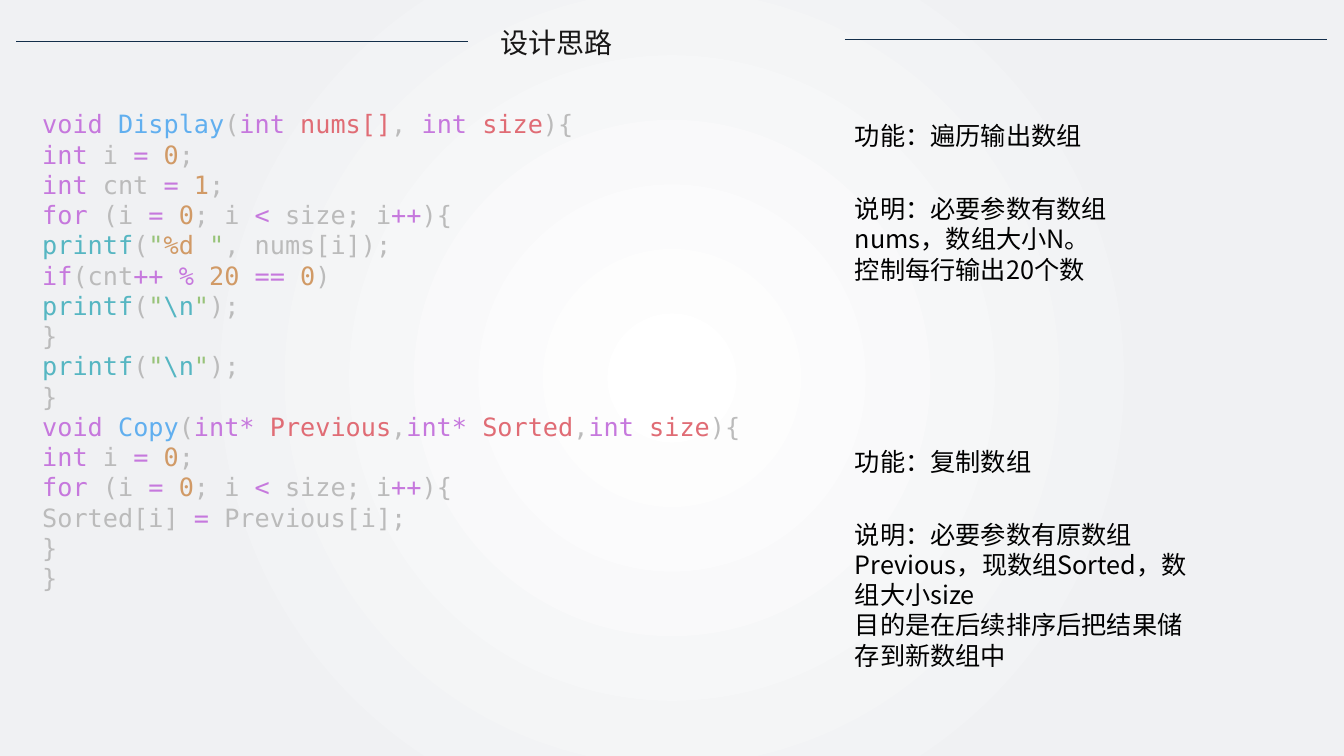
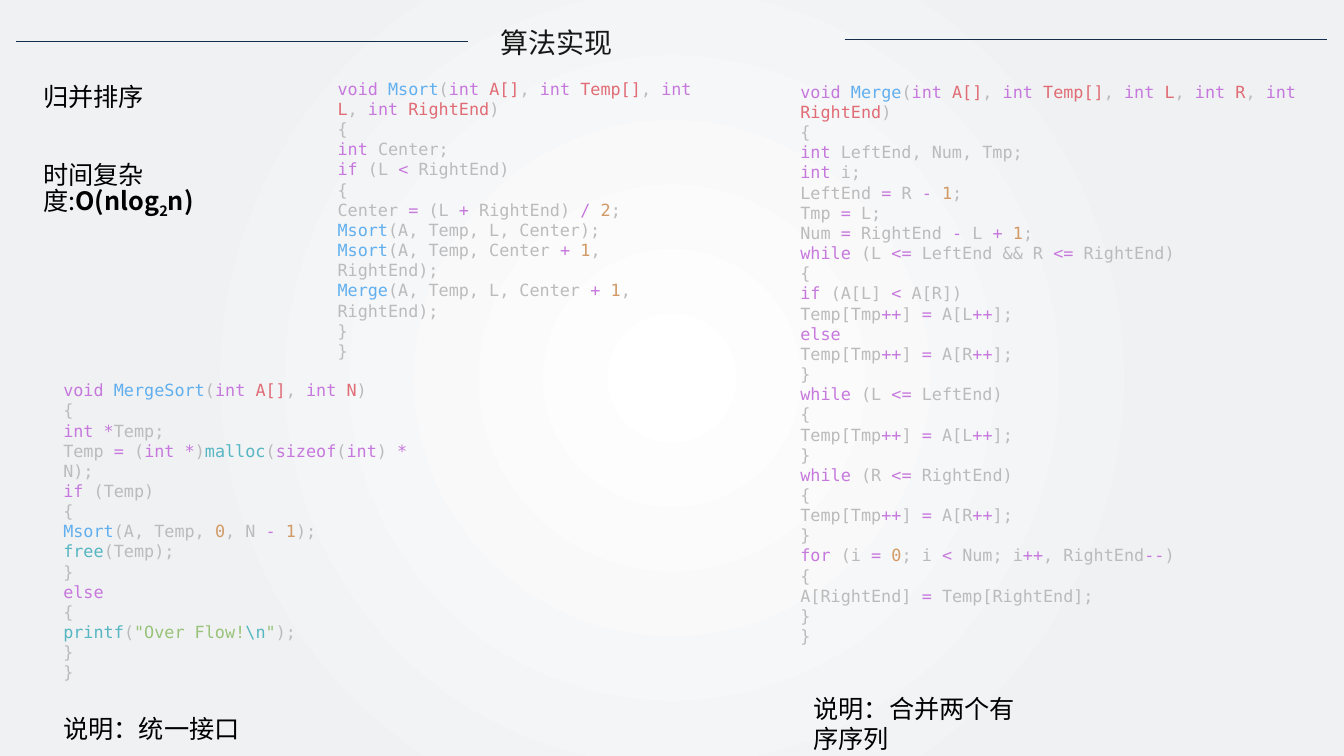
from itertools import groupby

from lxml import etree
from pptx import Presentation
from pptx.dml.color import RGBColor
from pptx.enum.shapes import MSO_CONNECTOR
from pptx.enum.text import MSO_ANCHOR, PP_ALIGN
from pptx.oxml.ns import qn
from pptx.util import Inches, Pt

STRAIGHT = MSO_CONNECTOR.STRAIGHT
MIDDLE = MSO_ANCHOR.MIDDLE
JUSTIFY = PP_ALIGN.JUSTIFY

TEXT_FONT = "Noto Sans CJK SC"
CODE_FONT = "DejaVu Sans Mono"
LINE_HEIGHT = 1.2

COLORS = {
    "center": "FFFFFF", "edge": "F0F1F3", "rule": "132E4A",
    "title": "181717", "text": "000000",
    "keyword": "C678DD", "function": "61AFEF", "parameter": "E06C75",
    "plain": "BBBBBB", "number": "D19A66", "library": "56B6C2",
    "string": "98C379",
}

WORDS = {
    "keyword": {"void", "int", "for", "if", "else", "while", "sizeof"},
    "function": {"Display", "Copy", "Msort", "Merge", "MergeSort"},
    "library": {"printf", "malloc", "free"},
}
OPERATORS = "=<+-*/%"
ESCAPES = {"%d": "number", r"\n": "library"}

DISPLAY_AND_COPY = r"""
void Display(int nums[], int size){
int i = 0;
int cnt = 1;
for (i = 0; i < size; i++){
printf("%d ", nums[i]);
if(cnt++ % 20 == 0)
printf("\n");
}
printf("\n");
}
void Copy(int* Previous,int* Sorted,int size){
int i = 0;
for (i = 0; i < size; i++){
Sorted[i] = Previous[i];
}
}
"""

MSORT = """
void Msort(int A[], int Temp[], int L, int RightEnd)
{
int Center;
if (L < RightEnd)
{
Center = (L + RightEnd) / 2;
Msort(A, Temp, L, Center);
Msort(A, Temp, Center + 1, RightEnd);
Merge(A, Temp, L, Center + 1, RightEnd);
}
}
"""

MERGE_SORT = r"""
void MergeSort(int A[], int N)
{
int *Temp;
Temp = (int *)malloc(sizeof(int) * N);
if (Temp)
{
Msort(A, Temp, 0, N - 1);
free(Temp);
}
else
{
printf("Over Flow!\n");
}
}
"""

MERGE = """
void Merge(int A[], int Temp[], int L, int R, int RightEnd)
{
int LeftEnd, Num, Tmp;
int i;
LeftEnd = R - 1;
Tmp = L;
Num = RightEnd - L + 1;
while (L <= LeftEnd && R <= RightEnd)
{
if (A[L] < A[R])
Temp[Tmp++] = A[L++];
else
Temp[Tmp++] = A[R++];
}
while (L <= LeftEnd)
{
Temp[Tmp++] = A[L++];
}
while (R <= RightEnd)
{
Temp[Tmp++] = A[R++];
}
for (i = 0; i < Num; i++, RightEnd--)
{
A[RightEnd] = Temp[RightEnd];
}
}
"""


def character_class(character):
    if character.isalnum():
        return "word"
    if character in OPERATORS:
        return "operator"
    if character in "[]":
        return "bracket"
    return "space" if character == " " else "other"


def token_color(token, kind, in_signature):
    if kind == "operator":
        return "keyword"
    if token.isdigit():
        return "number"
    for color, words in WORDS.items():
        if token in words:
            return color
    if in_signature and kind in ("word", "bracket"):
        return "parameter"
    return "plain"


def string_tokens(literal):
    """Yield the parts of a quoted string, with its escapes set apart."""
    for escape, color in ESCAPES.items():
        before, found, after = literal.partition(escape)
        if found:
            yield from ((before, "string"), (escape, color), (after, "string"))
            return
    yield literal, "string"


def code_tokens(line):
    in_signature = line.startswith("void ")
    for index, part in enumerate(line.split('"')):
        if index % 2:
            yield from string_tokens(f'"{part}"')
            continue
        for kind, characters in groupby(part, character_class):
            token = "".join(characters)
            color = None if kind == "space" else token_color(token, kind, in_signature)
            yield token, color


def highlight(line):
    """Return [text, color] runs; spaces join the run before them."""
    runs = []
    for token, color in code_tokens(line):
        if runs and color in (None, runs[-1][1]):
            runs[-1][0] += token
        else:
            runs.append([token, color or "plain"])
    return runs


class Deck:
    def __init__(self):
        self.presentation = Presentation()
        self.presentation.slide_width = Inches(13.33)
        self.presentation.slide_height = Inches(7.5)
        self.slide = None
        self.set_background()

    def set_background(self):
        """Give the master a gradient that spreads from the middle."""
        master = self.presentation.slide_master
        fill = master.background.fill
        fill.gradient()
        for stop, position, color in zip(fill.gradient_stops, (0, 0.67), ("center", "edge")):
            stop.position = position
            stop.color.rgb = RGBColor.from_string(COLORS[color])
        gradient = next(master.element.iter(qn("a:gradFill")))
        for linear in gradient.findall(qn("a:lin")):
            gradient.remove(linear)
        circle = etree.SubElement(gradient, qn("a:path"), path="circle")
        etree.SubElement(circle, qn("a:fillToRect"), l="50000", t="50000", r="50000", b="50000")

    def add_slide(self, title):
        self.slide = self.presentation.slides.add_slide(self.presentation.slide_layouts[6])
        frame = self.text_frame(4.96, 0.25, 3.01, 0.34)
        frame.margin_left = frame.margin_right = frame.margin_top = frame.margin_bottom = 0
        frame.vertical_anchor = MIDDLE
        paragraph = self.paragraph(frame, 0, 20)
        paragraph.alignment = JUSTIFY
        self.run(paragraph, title, 20, "title")
        self.rule(0.16, 4.64, 0.41)
        self.rule(8.38, 13.16, 0.39)

    def rule(self, left, right, y):
        line = self.slide.shapes.add_connector(
            STRAIGHT, Inches(left), Inches(y), Inches(right), Inches(y))
        line.line.color.rgb = RGBColor.from_string(COLORS["rule"])
        line.line.width = Pt(1)
        etree.SubElement(line.element.spPr, qn("a:effectLst"))

    def text_frame(self, left, top, width, height):
        box = self.slide.shapes.add_textbox(
            Inches(left), Inches(top), Inches(width), Inches(height))
        box.text_frame.word_wrap = True
        return box.text_frame

    def paragraph(self, frame, index, size):
        paragraph = frame.add_paragraph() if index else frame.paragraphs[0]
        paragraph.line_spacing = Pt(size * LINE_HEIGHT)
        return paragraph

    def run(self, paragraph, text, size, color, font=TEXT_FONT):
        run = paragraph.add_run()
        run.text = text
        run.font.size = Pt(size)
        run.font.name = font
        run.font.color.rgb = RGBColor.from_string(COLORS[color])
        etree.SubElement(run.font._element, qn("a:ea"), typeface=font)
        return run

    def note(self, left, top, width, height, *lines):
        frame = self.text_frame(left, top, width, height)
        for index, line in enumerate(lines):
            self.run(self.paragraph(frame, index, 18), line, 18, "text")
        return frame

    def complexity(self, left, top, width, height, label, formula):
        """Add a label and a bold formula of (text, is_subscript) parts."""
        paragraph = self.note(left, top, width, height, label).paragraphs[0]
        for text, is_subscript in formula:
            run = self.run(paragraph, text, 18, "text")
            run.font.bold = True
            if is_subscript:
                run.font._element.set("baseline", "-25000")

    def code(self, left, top, width, height, source, size):
        frame = self.text_frame(left, top, width, height)
        for index, line in enumerate(source.strip().splitlines()):
            paragraph = self.paragraph(frame, index, size)
            for text, color in highlight(line):
                self.run(paragraph, text, size, color, CODE_FONT)


def main():
    deck = Deck()

    deck.add_slide("设计思路")
    deck.code(0.32, 1.03, 12.12, 4.9, DISPLAY_AND_COPY, 18)
    deck.note(8.38, 1.14, 4.64, 0.4, "功能：遍历输出数组")
    deck.note(8.38, 1.87, 3.51, 1.01, "说明：必要参数有数组nums，数组大小N。", "控制每行输出20个数")
    deck.note(8.38, 4.38, 4.64, 0.4, "功能：复制数组")
    deck.note(8.38, 5.1, 3.51, 1.62,
              "说明：必要参数有原数组Previous，现数组Sorted，数组大小size",
              "目的是在后续排序后把结果储存到新数组中")

    deck.add_slide("算法实现")
    deck.code(3.25, 0.73, 3.84, 2.9, MSORT, 12)
    deck.note(0.33, 0.76, 2.02, 0.4, "归并排序")
    deck.complexity(0.33, 1.53, 2.6, 0.7, "时间复杂度:",
                    [("O(nlog", False), ("2", True), ("n)", False)])
    deck.code(0.53, 3.72, 3.73, 2.93, MERGE_SORT, 12)
    deck.note(0.53, 7.03, 2.1, 0.4, "说明：统一接口")
    deck.code(7.84, 0.76, 5.68, 5.76, MERGE, 12)
    deck.note(7.97, 6.83, 2.35, 0.71, "说明：合并两个有序序列")

    deck.presentation.save("out.pptx")


if __name__ == "__main__":
    main()
